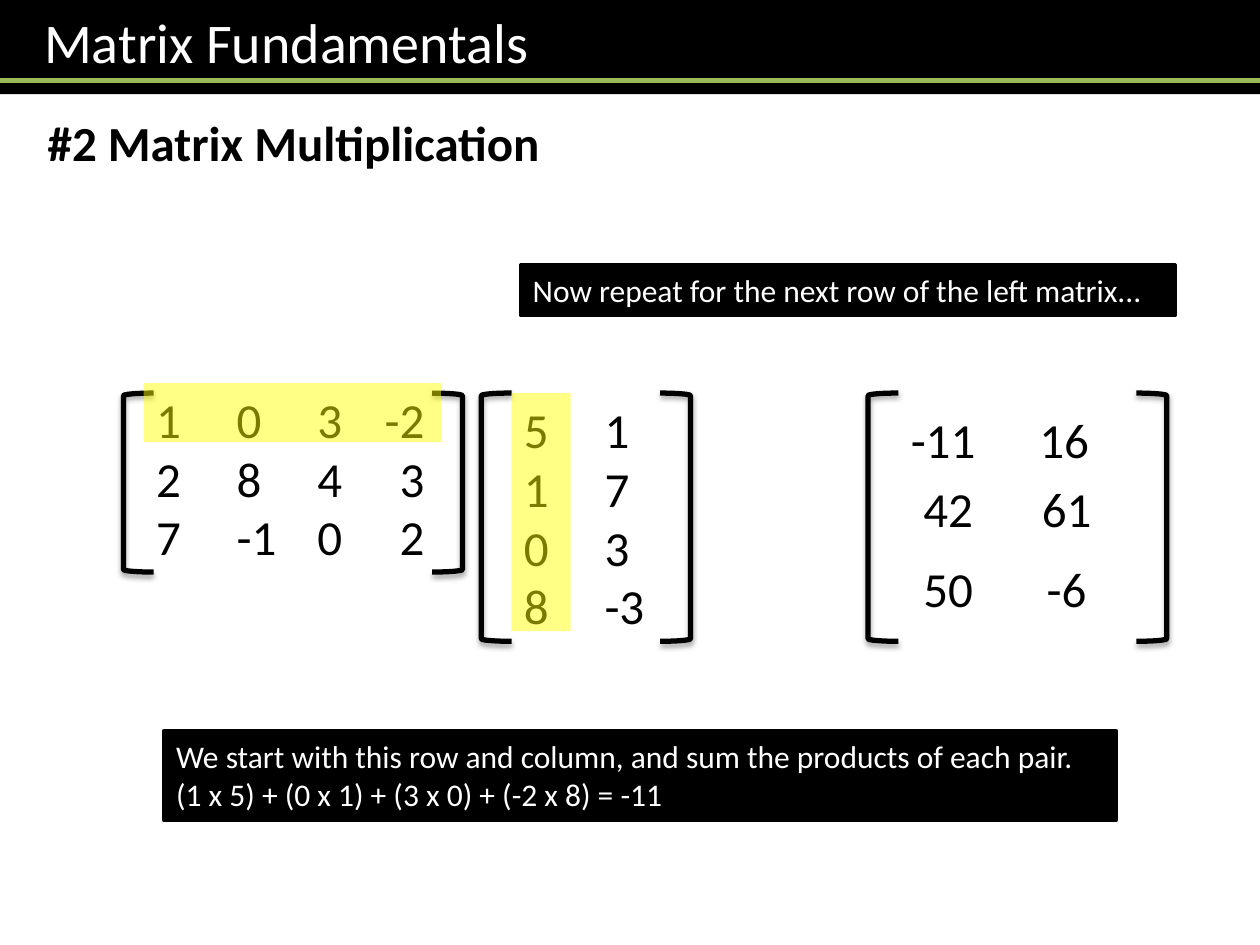
from dataclasses import dataclass

from lxml.etree import SubElement
from pptx import Presentation
from pptx.dml.color import RGBColor
from pptx.enum.shapes import MSO_CONNECTOR as Connector, MSO_SHAPE as Preset
from pptx.enum.text import MSO_ANCHOR as Anchor, MSO_AUTO_SIZE as AutoSize, PP_ALIGN as Align
from pptx.oxml.ns import qn
from pptx.util import Emu, Inches, Pt

BLACK = RGBColor(0x00, 0x00, 0x00)
WHITE = RGBColor(0xFF, 0xFF, 0xFF)
GREEN = RGBColor(0x9B, 0xBB, 0x59)
YELLOW = RGBColor(0xFF, 0xFF, 0x00)
FONT = "Calibri"
SLIDE_WIDTH, SLIDE_HEIGHT = Inches(10), Inches(7.5)
COLUMNS = 100
BRACKET_WIDTH = 2.4
MATRIX_TOP = 31.2


@dataclass(frozen=True)
class Area:
    """A place on the slide, in columns and rows of a square grid."""
    left: float
    top: float
    width: float
    height: float

    def lengths(self) -> tuple:
        return tuple(map(grid, (self.left, self.top, self.width, self.height)))


@dataclass(frozen=True)
class Label:
    """Text lines in one format, with optional tab stops in grid columns."""
    area: Area
    lines: tuple
    size: int = 28
    bold: bool = False
    align: Align = Align.LEFT
    stops: tuple = ()


@dataclass(frozen=True)
class BracketPair:
    """The left edges of two facing brackets and their height."""
    left: float
    right: float
    height: float


SUBTITLE = Label(Area(2.8, 8.4, 53.5, 5.7), ("#2 Matrix Multiplication",), bold=True)
FACTORS = (
    Label(Area(11.4, 30.4, 25.2, 15.1), ("1\t0\t3\t-2", "2\t8\t4\t3", "7\t-1\t0\t2"),
          stops=((6.4, "l"), (12.8, "l"), (21.3, "r"))),
    Label(Area(40.6, MATRIX_TOP, 13.4, 19.9), ("5\t1", "1\t7", "0\t3", "8\t-3"),
          stops=((6.4, "l"),)),
)
BRACKETS = (BracketPair(9.8, 34.3, 14.2), BracketPair(38.2, 52.4, 19.7),
            BracketPair(68.9, 90.2, 19.7))
HIGHLIGHTS = (Area(11.4, 30.4, 23.6, 4.7), Area(40.6, MATRIX_TOP, 4.7, 18.9))
RESULT_ROWS = (
    (32, (71.3, 81.5), ("-11", "16"), Align.LEFT),
    (37.5, (71.3, 80.7), ("42", "61"), Align.CENTER),
    (43.8, (71.3, 80.7), ("50", "-6"), Align.CENTER),
)
BANNERS = (
    Label(Area(13, 58, 75.6, 7.1),
          ("We start with this row and column, and sum the products of each pair.",
           "(1 x 5) + (0 x 1) + (3 x 0) + (-2 x 8) = -11"), 18),
    Label(Area(41.3, 21, 52, 4), ("Now repeat for the next row of the left matrix...",), 18),
)


def grid(count: float) -> Emu:
    """Turn a number of grid cells into a length."""
    return Emu(round(SLIDE_WIDTH * count / COLUMNS))


def write(shape, label: Label, colour: RGBColor) -> None:
    """Fill a shape's text frame with a label."""
    frame = shape.text_frame
    frame.word_wrap = True
    frame.auto_size = AutoSize.SHAPE_TO_FIT_TEXT
    frame.vertical_anchor = Anchor.TOP
    frame.text = "\n".join(label.lines)
    for para in frame.paragraphs:
        para.alignment = label.align
        if label.stops:
            tabs = SubElement(para._p.get_or_add_pPr(), qn("a:tabLst"))
            for column, side in label.stops:
                SubElement(tabs, qn("a:tab"), pos=str(grid(column)), algn=side)
        for run in para.runs:
            run.font.name = FONT
            run.font.size = Pt(label.size)
            run.font.bold = label.bold
            run.font.color.rgb = colour


def add_label(slide, label: Label) -> None:
    """Draw black text without a frame."""
    write(slide.shapes.add_textbox(*label.area.lengths()), label, BLACK)


def add_block(slide, area: Area, colour: RGBColor):
    """Draw a plain filled rectangle."""
    block = slide.shapes.add_shape(Preset.RECTANGLE, *area.lengths())
    block.shadow.inherit = False
    block.fill.solid()
    block.fill.fore_color.rgb = colour
    block.line.fill.background()
    return block


def add_banner(slide, label: Label) -> None:
    """Draw white text on a black block."""
    banner = add_block(slide, label.area, BLACK)
    banner.line.color.rgb = BLACK
    banner.line.width = Pt(2)
    write(banner, label, WHITE)


def add_highlight(slide, area: Area) -> None:
    """Draw a translucent yellow marker."""
    marker = add_block(slide, area, YELLOW)
    colour = marker._element.spPr.find(f".//{qn('a:srgbClr')}")
    SubElement(colour, qn("a:alpha"), val="48000")


def add_brackets(slide, pair: BracketPair) -> None:
    """Draw the two shadowed brackets around a matrix."""
    for preset, left in ((Preset.LEFT_BRACKET, pair.left), (Preset.RIGHT_BRACKET, pair.right)):
        area = Area(left, MATRIX_TOP, BRACKET_WIDTH, pair.height)
        bracket = slide.shapes.add_shape(preset, *area.lengths())
        bracket.fill.background()
        bracket.line.color.rgb = BLACK
        bracket.line.width = Pt(3)
        bracket.shadow.inherit = False
        effects = bracket._element.spPr.find(qn("a:effectLst"))
        shadow = SubElement(effects, qn("a:outerShdw"), blurRad=str(Pt(3.1)),
                            dist=str(Pt(1.8)), dir="5400000", rotWithShape="0")
        colour = SubElement(shadow, qn("a:srgbClr"), val=str(BLACK))
        SubElement(colour, qn("a:alpha"), val="35000")


def add_header(slide) -> None:
    """Format the title as a black bar with a green rule."""
    title = slide.shapes.title
    area = Area(0, 0, COLUMNS, 6.6)
    title.left, title.top, title.width, title.height = area.lengths()
    title.fill.solid()
    title.fill.fore_color.rgb = BLACK
    write(title, Label(area, ("Matrix Fundamentals",), 32), WHITE)
    frame = title.text_frame
    frame.margin_left = grid(3.5)
    frame.vertical_anchor = Anchor.MIDDLE
    rule = slide.shapes.add_connector(Connector.STRAIGHT, 0, grid(6.4), SLIDE_WIDTH, grid(6.4))
    rule.line.color.rgb = GREEN
    rule.line.width = Pt(3)
    SubElement(rule._element.spPr, qn("a:effectLst"))


def main() -> None:
    """Build and save the slide."""
    deck = Presentation()
    deck.slide_width, deck.slide_height = SLIDE_WIDTH, SLIDE_HEIGHT
    slide = deck.slides.add_slide(deck.slide_layouts.get_by_name("Title Only"))
    add_header(slide)
    for label in (SUBTITLE, *FACTORS):
        add_label(slide, label)
    for pair in BRACKETS:
        add_brackets(slide, pair)
    for area in HIGHLIGHTS:
        add_highlight(slide, area)
    for top, lefts, values, align in RESULT_ROWS:
        for left, value in zip(lefts, values):
            add_label(slide, Label(Area(left, top, 7.9, 5.7), (value,), align=align))
    for banner in BANNERS:
        add_banner(slide, banner)
    deck.save("out.pptx")


if __name__ == "__main__":
    main()
